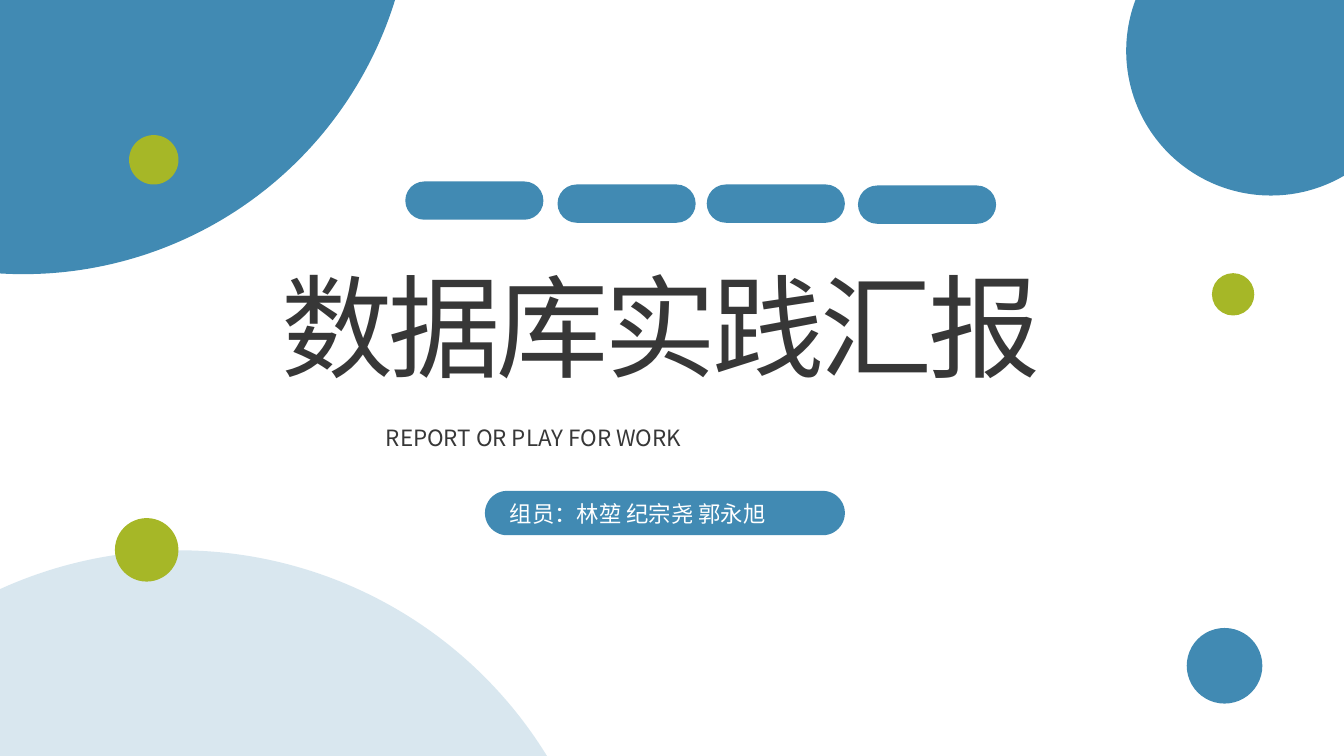
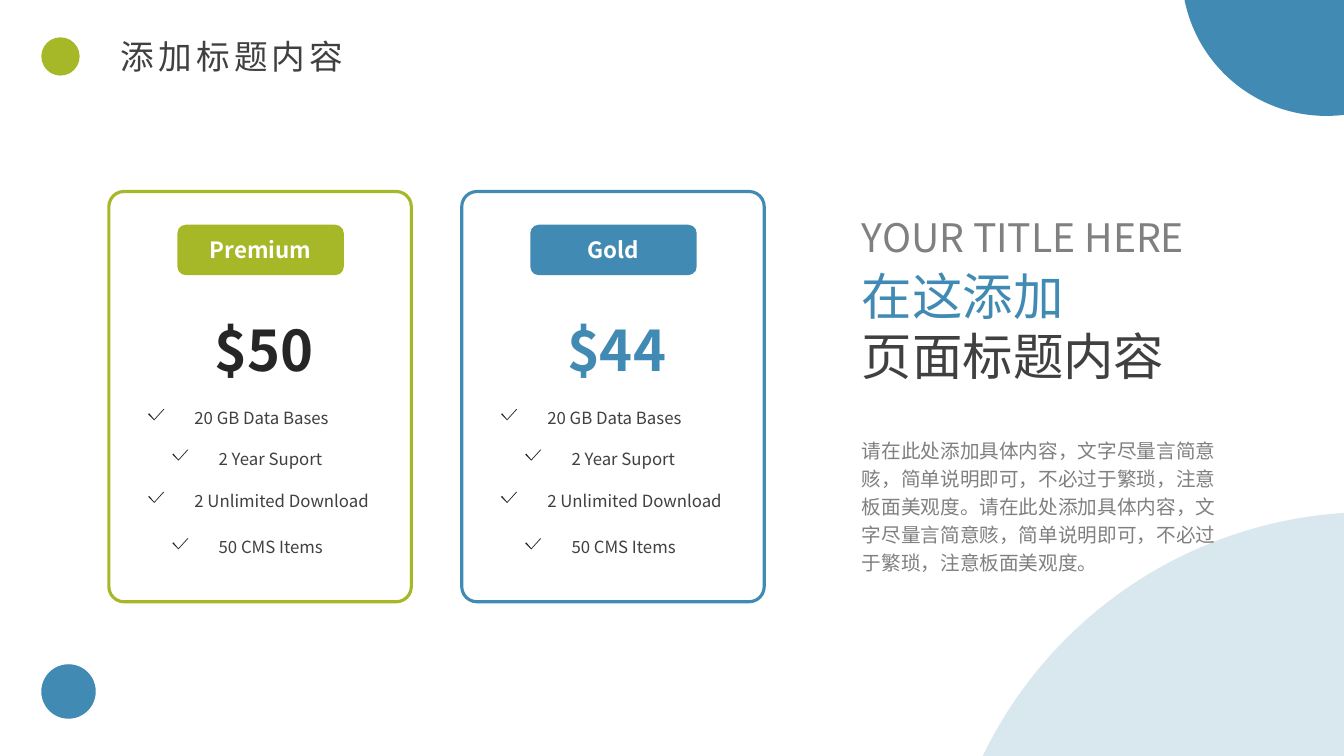
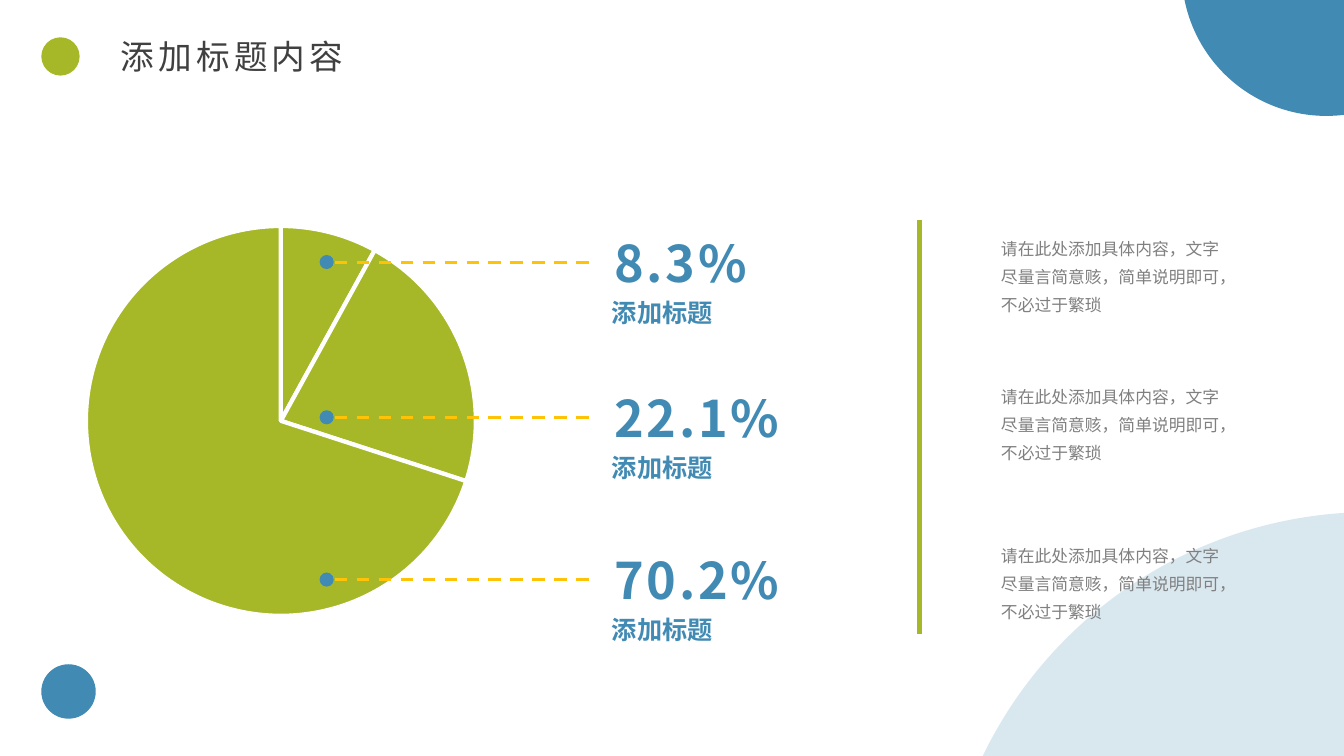
from lxml import etree
from pptx import Presentation
from pptx.chart import data as chart_data
from pptx.dml.color import RGBColor
from pptx.enum import chart as chart_enum, dml, shapes, text
from pptx.oxml import ns
from pptx.util import Inches, Pt

BLUE, GREEN, YELLOW, WHITE = "418AB3", "A6B727", "FEC306", "FFFFFF"
INK, DARK, BLACK, GREY = "373737", "404040", "262626", "808080"
FONT, TITLE_FONT = "Noto Sans CJK SC", "Lato"
JUSTIFY, CENTER = text.PP_ALIGN.JUSTIFY, text.PP_ALIGN.CENTER
SHAPE = shapes.MSO_SHAPE


def color(hex_value):
    return RGBColor.from_string(hex_value)


def style_paragraph(paragraph, size, hex_value, bold=False, align=None,
                    spacing=None, tracking=0, font_name=FONT):
    paragraph.alignment = align
    paragraph.line_spacing = spacing
    font = paragraph.font
    font.size, font.bold, font.name = Pt(size), bold, font_name
    font.color.rgb = color(hex_value)
    properties = paragraph._p.pPr.find(ns.qn("a:defRPr"))
    etree.SubElement(properties, ns.qn("a:ea"), typeface=FONT)
    if tracking:
        properties.set("spc", str(tracking * 100))


def add_text(slide, box, lines, size, colors, wrap=True, inset=True, **style):
    """Place one paragraph per line; colors is one hex value per line."""
    frame = slide.shapes.add_textbox(*map(Inches, box)).text_frame
    frame.word_wrap = wrap
    frame.auto_size = text.MSO_AUTO_SIZE.SHAPE_TO_FIT_TEXT
    if not inset:
        frame.margin_left = frame.margin_right = 0
        frame.margin_top = frame.margin_bottom = 0
    frame.text = "\n".join(lines)
    for paragraph, hex_value in zip(frame.paragraphs, colors):
        style_paragraph(paragraph, size, hex_value, **style)


def add_shape(slide, kind, box, fill, line=None, radius=None, alpha=None):
    shape = slide.shapes.add_shape(kind, *map(Inches, box))
    shape.shadow.inherit = False
    shape.fill.solid()
    shape.fill.fore_color.rgb = color(fill)
    if line:
        shape.line.color.rgb = color(line)
        shape.line.width = Pt(2.25)
    else:
        shape.line.fill.background()
    if radius is not None:
        shape.adjustments[0] = radius
    if alpha:
        value = shape._element.spPr.find(".//" + ns.qn("a:srgbClr"))
        etree.SubElement(value, ns.qn("a:alpha"), val=str(alpha * 1000))
    return shape


def add_circle(slide, left, top, size, fill, alpha=None):
    add_shape(slide, SHAPE.OVAL, (left, top, size, size), fill, alpha=alpha)


def add_line(slide, start, end, hex_value, width, dash=None):
    line = slide.shapes.add_connector(
        shapes.MSO_CONNECTOR.STRAIGHT, *map(Inches, start + end))
    line.line.color.rgb = color(hex_value)
    line.line.width = Pt(width)
    if dash:
        line.line.dash_style = dash
    etree.SubElement(line._element.spPr, ns.qn("a:effectLst"))


def add_content_frame(slide):
    """Corner circles and heading shared by the content slides."""
    add_circle(slide, 9.32, 5.08, 8.57, BLUE, alpha=20)
    add_circle(slide, 11.72, -1.72, 2.87, BLUE)
    add_circle(slide, 0.41, 6.59, 0.54, BLUE)
    add_circle(slide, 0.41, 0.37, 0.38, GREEN)
    add_text(slide, (1.1, 0.31, 2.56, 0.5), ["添加标题内容"], 24, [DARK],
             align=JUSTIFY, tracking=3, font_name=TITLE_FONT)


def build_cover(slide):
    # Circles
    add_circle(slide, -3.63, -5, 7.72, BLUE)
    add_circle(slide, 11.17, -0.93, 2.87, BLUE)
    add_circle(slide, 11.77, 6.23, 0.75, BLUE)
    add_circle(slide, -2.51, 5.46, 8.57, BLUE, alpha=20)
    add_circle(slide, 12.02, 2.71, 0.42, GREEN)
    add_circle(slide, 1.14, 5.14, 0.63, GREEN)
    add_circle(slide, 1.28, 1.34, 0.49, GREEN)
    # Pills
    for left, top in ((4.02, 1.8), (5.53, 1.83), (7.01, 1.83), (8.51, 1.84)):
        add_shape(slide, SHAPE.ROUNDED_RECTANGLE, (left, top, 1.37, 0.38),
                  BLUE, radius=0.5)
    add_shape(slide, SHAPE.ROUNDED_RECTANGLE, (4.81, 4.87, 3.57, 0.44),
              BLUE, radius=0.5)
    # Title, subtitle and members
    add_text(slide, (2.69, 2.51, 8, 1.45), ["数据库实践汇报"], 80, [INK],
             align=JUSTIFY, tracking=-3)
    add_text(slide, (3.73, 4.16, 5.33, 0.37), ["REPORT OR PLAY FOR WORK"], 16,
             [INK], align=JUSTIFY)
    add_text(slide, (4.96, 4.91, 3.27, 0.37), ["组员：林堃 纪宗尧 郭永旭"], 16,
             [WHITE], align=JUSTIFY)


def add_check(slide, left, top):
    outline = ((0.15, 0), (0.06, 0.1), (0.01, 0.04), (0, 0.05),
               (0.06, 0.11), (0.16, 0))
    points = [(Inches(left + x), Inches(top + y)) for x, y in outline]
    builder = slide.shapes.build_freeform(*points[0])
    builder.add_line_segments(points[1:], close=True)
    check = builder.convert_to_shape()
    check.shadow.inherit = False
    check.fill.solid()
    check.fill.fore_color.rgb = color(BLACK)
    check.line.fill.background()


def add_price_card(slide, left, top, plan, price, accent, price_color):
    add_shape(slide, SHAPE.ROUNDED_RECTANGLE, (left, top, 3, 4.07), WHITE,
              line=accent, radius=0.05)
    # Plan name
    badge = add_shape(slide, SHAPE.ROUNDED_RECTANGLE,
                      (left + 0.68, top + 0.33, 1.65, 0.5), accent)
    badge.text_frame.text = plan
    badge.text_frame.vertical_anchor = text.MSO_ANCHOR.MIDDLE
    style_paragraph(badge.text_frame.paragraphs[0], 16, WHITE, bold=True,
                    align=CENTER)
    add_text(slide, (left + 0.48, top + 1.18, 2.11, 0.77), [price], 40,
             [price_color], bold=True, align=CENTER)
    # Features, every second one indented
    features = (("20 GB Data Bases", 0, 2), ("2 Year Suport", 0.24, 2.4),
                ("2 Unlimited Download", 0, 2.82), ("50 CMS Items", 0.24, 3.28))
    for feature, indent, offset in features:
        add_text(slide, (left + 0.75 + indent, top + offset, 1.99, 0.37),
                 [feature], 12, [DARK], align=JUSTIFY, spacing=1.5)
        add_check(slide, left + 0.39 + indent, top + offset + 0.16)


def build_pricing(slide):
    add_price_card(slide, 1.08, 1.9, "Premium", "$50", GREEN, BLACK)
    add_price_card(slide, 4.58, 1.9, "Gold", "$44", BLUE, BLUE)
    # Headline and description
    add_text(slide, (8.45, 2.58, 3.23, 1.31), ["在这添加", "页面标题内容"], 36,
             [BLUE, DARK], wrap=False)
    add_text(slide, (8.45, 2.07, 4.2, 0.49), ["YOUR TITLE HERE"], 28, [GREY])
    add_text(slide, (8.45, 4.26, 3.8, 1.48),
             ["请在此处添加具体内容，文字尽量言简意赅，简单说明即可，不必过于繁琐，"
              "注意板面美观度。请在此处添加具体内容，文字尽量言简意赅，"
              "简单说明即可，不必过于繁琐，注意板面美观度。"],
             14, [GREY], spacing=Pt(20))
    add_content_frame(slide)


def add_pie(slide, box):
    data = chart_data.CategoryChartData()
    data.categories = ["1", "2", "3"]
    data.add_series("Series 1", (8, 22, 70))
    chart = slide.shapes.add_chart(chart_enum.XL_CHART_TYPE.PIE,
                                   *map(Inches, box), data).chart
    chart.has_legend = chart.has_title = False
    chart.font.size, chart.font.name = Pt(10), FONT
    chart.font.color.rgb = color("000000")
    chart.plots[0].vary_by_categories = False
    for index in range(3):
        slice_format = chart.plots[0].series[0].points[index].format
        slice_format.fill.solid()
        slice_format.fill.fore_color.rgb = color(GREEN)
        slice_format.line.color.rgb = color(WHITE)
        slice_format.line.width = Pt(3)
    # Fixed plot area
    plot_area = chart._chartSpace.find(".//" + ns.qn("c:plotArea"))
    for old_layout in plot_area.findall(ns.qn("c:layout")):
        plot_area.remove(old_layout)
    layout = etree.Element(ns.qn("c:layout"))
    manual = etree.SubElement(layout, ns.qn("c:manualLayout"))
    for tag, value in (("layoutTarget", "inner"), ("xMode", "edge"),
                       ("yMode", "edge"), ("x", "0.04"), ("y", "0.05"),
                       ("w", "0.93"), ("h", "0.91")):
        etree.SubElement(manual, ns.qn("c:" + tag), val=value)
    plot_area.insert(0, layout)


def add_callout(slide, middle, value):
    """Dot, dashed leader, value and label around one horizontal line."""
    add_circle(slide, 3.17, middle - 0.07, 0.14, BLUE)
    add_line(slide, (5.84, middle), (3.32, middle), YELLOW, 2.25,
             dml.MSO_LINE.DASH)
    add_text(slide, (6.09, middle - 0.3, 2.52, 0.61), [value], 36, [BLUE],
             inset=False, bold=True, tracking=2)
    add_text(slide, (5.97, middle + 0.3, 1.76, 0.4), ["添加标题"], 18, [BLUE],
             bold=True, align=JUSTIFY)


def build_shares(slide):
    add_content_frame(slide)
    add_pie(slide, (0.67, 2.03, 4.19, 4.25))
    add_line(slide, (9.12, 2.18), (9.12, 6.29), GREEN, 3)
    rows = ((2.6, "8.3%", 2.24), (4.14, "22.1%", 3.71), (5.75, "70.2%", 5.29))
    for middle, value, note_top in rows:
        add_callout(slide, middle, value)
        add_text(slide, (9.83, note_top, 2.47, 0.91),
                 ["请在此处添加具体内容，文字尽量言简意赅，简单说明即可，不必过于繁琐"],
                 12, [GREY], spacing=Pt(20))


def main():
    presentation = Presentation()
    presentation.slide_width = Inches(13.33)
    presentation.slide_height = Inches(7.5)
    for build in (build_cover, build_pricing, build_shares):
        build(presentation.slides.add_slide(presentation.slide_layouts[6]))
    presentation.save("out.pptx")


if __name__ == "__main__":
    main()
